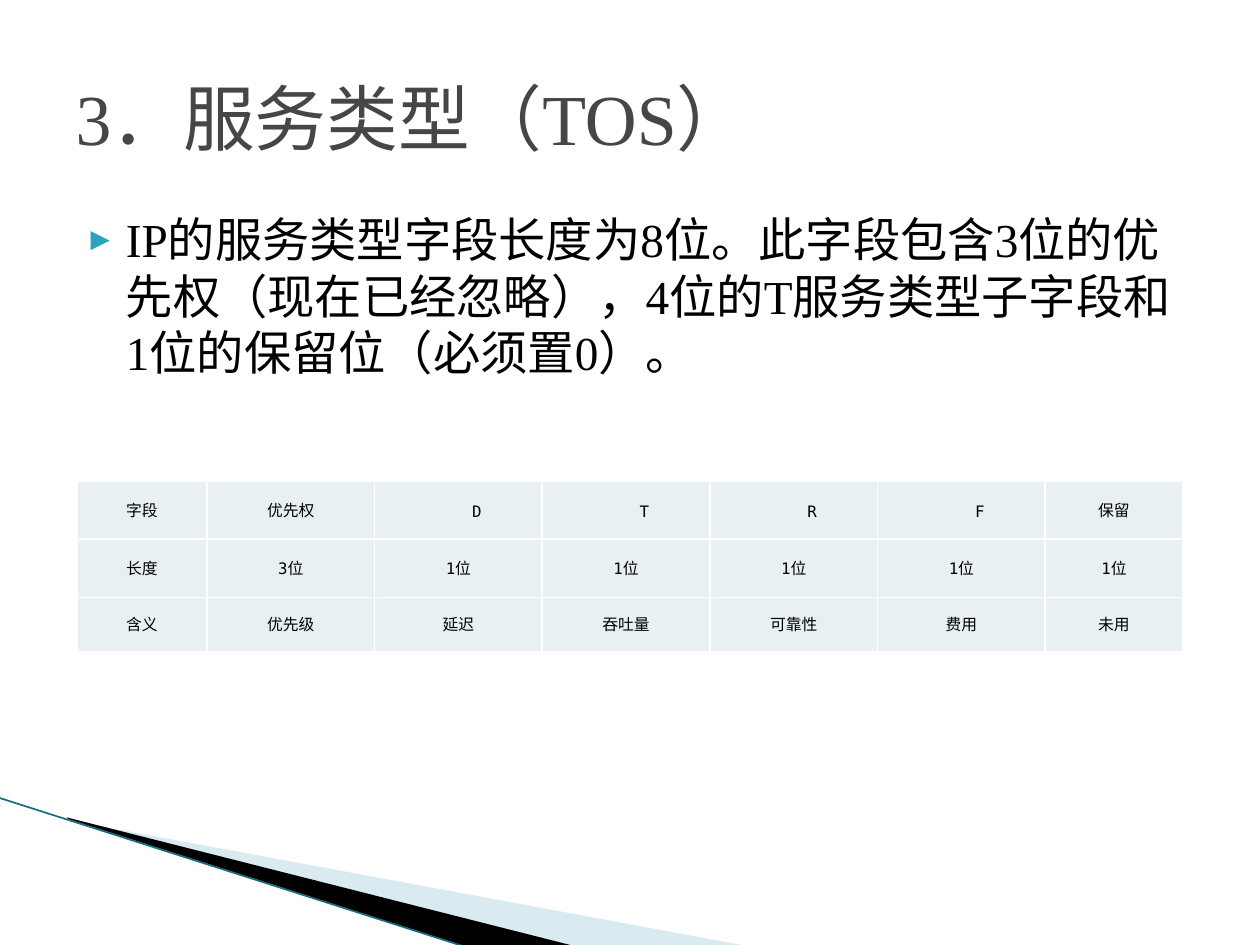
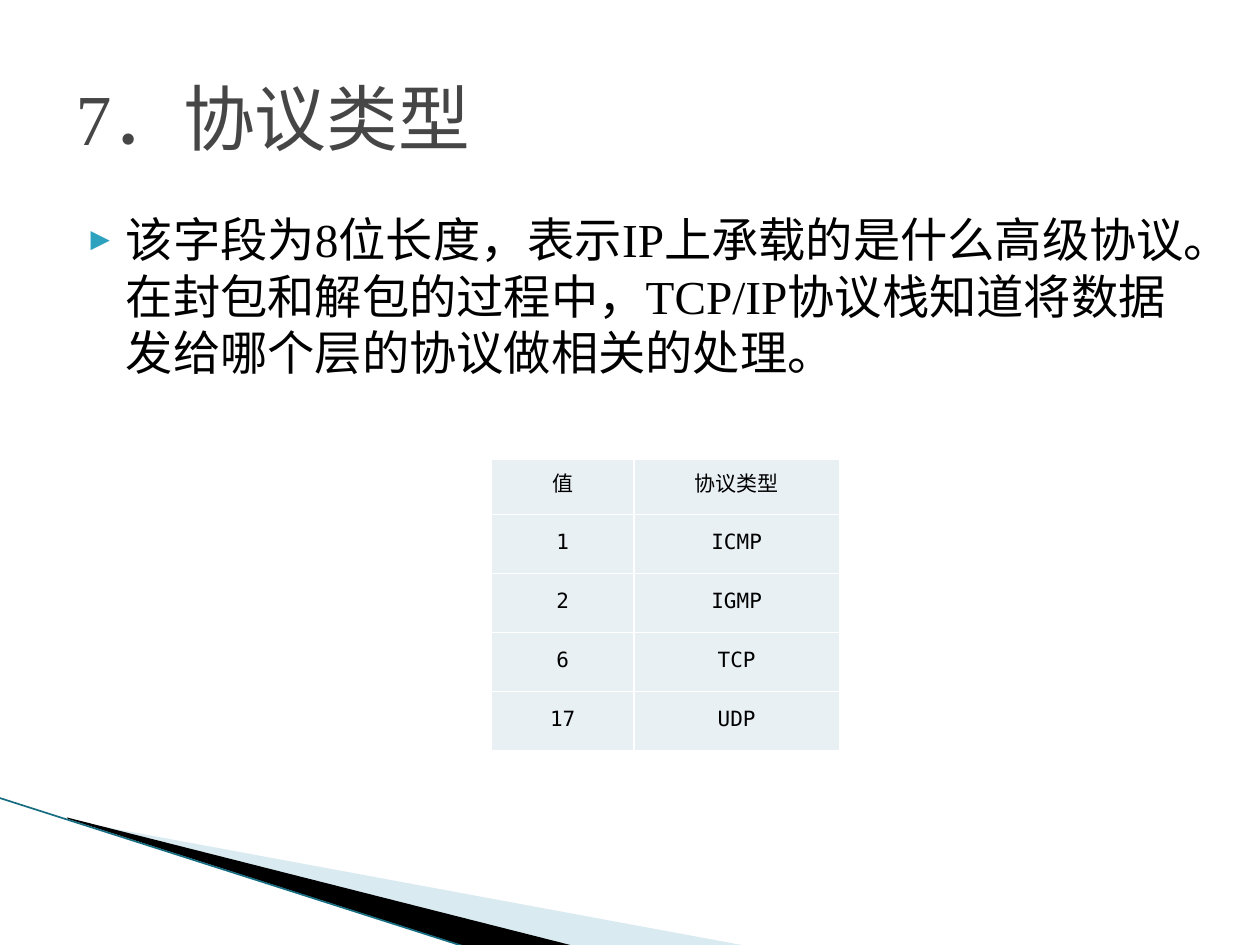
"""Build two slides on the IP header fields for service type and protocol."""
from dataclasses import dataclass
from typing import Any

from lxml.etree import SubElement
from pptx import Presentation
from pptx.dml.color import RGBColor
from pptx.enum.shapes import MSO_CONNECTOR as Connector
from pptx.enum.text import MSO_ANCHOR as Anchor, MSO_AUTO_SIZE as AutoSize, PP_ALIGN as Align
from pptx.oxml.ns import qn
from pptx.util import Cm, Pt

WHITE = RGBColor(0xFF, 0xFF, 0xFF)
BLACK = RGBColor(0x00, 0x00, 0x00)
TITLE_GREY = RGBColor(0x46, 0x46, 0x46)
BULLET_TEAL = RGBColor(0x2D, 0xA2, 0xBF)
EDGE_TEAL = RGBColor(0x16, 0x6C, 0x80)
WEDGE_BLUE = RGBColor(0xA0, 0xCB, 0xDC)
CELL_BLUE = RGBColor(0xE8, 0xF0, 0xF4)

SERIF = "Times New Roman"
MONO = "DejaVu Sans Mono"
TITLE_FONT = {"name": SERIF, "size": Pt(41), "color": TITLE_GREY}
BODY_FONT = {"name": SERIF, "size": Pt(27), "color": BLACK}
FRAME_FORMAT = {"word_wrap": True, "auto_size": AutoSize.NONE}
CELL_FORMAT = {
    "vertical_anchor": Anchor.MIDDLE,
    "margin_left": Cm(0.18),
    "margin_right": Cm(0.18),
    "margin_top": 0,
    "margin_bottom": 0,
}
CELL_PARAGRAPH = {"alignment": Align.CENTER, "line_spacing": Pt(12.5), "space_after": Pt(1)}
BIT_FLAGS = ("D", "T", "R", "F")


@dataclass(frozen=True)
class Wedge:
    """A filled corner outline, with points in centimetres and opacity in percent."""
    points: tuple[tuple[float, float], ...]
    color: RGBColor
    opacity: int = 100


@dataclass(frozen=True)
class FieldTable:
    """A table with its place and sizes in centimetres."""
    left: float
    top: float
    columns: tuple[float, ...]
    heights: tuple[float, ...]
    font_size: float
    rows: tuple[tuple[str, ...], ...]


@dataclass(frozen=True)
class FieldSlide:
    """The content of one header field slide."""
    title: str
    body: str
    table: FieldTable


WEDGES = (
    Wedge(((1.4, 16.54), (15.11, 19.08), (11.58, 19.08), (1.4, 16.51)), WEDGE_BLUE, 40),
    Wedge(((1.35, 16.48), (11.61, 19.08), (9.45, 19.1), (1.37, 16.51)), BLACK),
)

FIELD_SLIDES = (
    FieldSlide(
        "3．服务类型（TOS）",
        "IP的服务类型字段长度为8位。此字段包含3位的优先权（现在已经忽略），"
        "4位的T服务类型子字段和1位的保留位（必须置0）。",
        FieldTable(
            1.55, 9.7, (2.62, *[3.38] * 5, 2.77), (1.17, 1.17, 1.09), 9,
            (
                ("字段", "优先权", *BIT_FLAGS, "保留"),
                ("长度", "3位", *["1位"] * 5),
                ("含义", "优先级", "延迟", "吞吐量", "可靠性", "费用", "未用"),
            ),
        ),
    ),
    FieldSlide(
        "7．协议类型",
        "该字段为8位长度，表示IP上承载的是什么高级协议。在封包和解包的过程中，"
        "TCP/IP协议栈知道将数据发给哪个层的协议做相关的处理。",
        FieldTable(
            9.91, 9.25, (2.87, 4.14), (1.12, *[1.19] * 4), 12,
            (("值", "协议类型"), ("1", "ICMP"), ("2", "IGMP"), ("6", "TCP"), ("17", "UDP")),
        ),
    ),
)


def apply_format(target: Any, values: dict[str, Any]) -> None:
    """Set each format value on the target."""
    for name, value in values.items():
        setattr(target, name, value)


def write_text(paragraph: Any, text: str, font_values: dict[str, Any]) -> None:
    """Add one run of text in the given font."""
    run = paragraph.add_run()
    run.text = text
    for name, value in font_values.items():
        if name == "color":
            run.font.color.rgb = value
        else:
            setattr(run.font, name, value)


def draw_wedge(slide: Any, wedge: Wedge) -> None:
    """Draw one corner wedge."""
    start, *others = [(Cm(x), Cm(y)) for x, y in wedge.points]
    builder = slide.shapes.build_freeform(*start)
    builder.add_line_segments(others)
    shape = builder.convert_to_shape()
    shape.shadow.inherit = False
    shape.line.fill.background()
    shape.fill.solid()
    shape.fill.fore_color.rgb = wedge.color
    if wedge.opacity < 100:
        color = shape.fill._xPr.find(f".//{qn('a:srgbClr')}")
        SubElement(color, qn("a:alpha"), val=str(wedge.opacity * 1000))


def draw_corner(slide: Any) -> None:
    """Draw the shared corner decoration."""
    for wedge in WEDGES:
        draw_wedge(slide, wedge)
    edge = slide.shapes.add_connector(Connector.STRAIGHT, Cm(-0.03), Cm(16.08), Cm(9.42), Cm(19.1))
    edge.line.color.rgb = EDGE_TEAL
    edge.line.width = Pt(0.95)
    SubElement(edge._element.spPr, qn("a:effectLst"))


def write_title(slide: Any, text: str) -> None:
    """Place and write the title."""
    title = slide.shapes.title
    apply_format(title, {"left": Cm(1.27), "top": Cm(0.76), "width": Cm(22.86), "height": Cm(3.18)})
    apply_format(title.text_frame, {**FRAME_FORMAT, "vertical_anchor": Anchor.MIDDLE})
    paragraph = title.text_frame.paragraphs[0]
    paragraph.alignment = Align.LEFT
    write_text(paragraph, text, TITLE_FONT)


def write_body(slide: Any, text: str) -> None:
    """Write the bulleted body paragraph."""
    box = slide.shapes.add_textbox(Cm(1.27), Cm(4.11), Cm(22.86), Cm(12.57))
    apply_format(box.text_frame, FRAME_FORMAT)
    paragraph = box.text_frame.paragraphs[0]
    paragraph.space_before = Pt(4)
    write_text(paragraph, text, BODY_FONT)
    properties = paragraph._p.get_or_add_pPr()
    properties.set("marL", str(Cm(1.02)))
    properties.set("indent", str(Cm(-0.71)))
    bullet_color = SubElement(properties, qn("a:buClr"))
    SubElement(bullet_color, qn("a:srgbClr"), val=str(BULLET_TEAL))
    SubElement(properties, qn("a:buSzPct"), val="68000")
    SubElement(properties, qn("a:buFont"), typeface=MONO)
    SubElement(properties, qn("a:buChar"), char="▶")


def format_cell(cell: Any, text: str, font_size: float) -> None:
    """Write one cell with its borders and fill."""
    apply_format(cell, CELL_FORMAT)
    paragraph = cell.text_frame.paragraphs[0]
    apply_format(paragraph, CELL_PARAGRAPH)
    if text in BIT_FLAGS:
        paragraph._p.get_or_add_pPr().set("indent", str(Cm(0.74)))
    write_text(paragraph, text, {"name": MONO, "size": Pt(font_size), "color": BLACK})
    properties = cell._tc.get_or_add_tcPr()
    for side in ("lnL", "lnR", "lnT", "lnB"):
        border = SubElement(properties, qn(f"a:{side}"), w=str(Pt(1)))
        border_fill = SubElement(border, qn("a:solidFill"))
        SubElement(border_fill, qn("a:srgbClr"), val=str(WHITE))
    cell.fill.solid()
    cell.fill.fore_color.rgb = CELL_BLUE


def draw_table(slide: Any, content: FieldTable) -> None:
    """Draw one field table."""
    table = slide.shapes.add_table(
        len(content.rows), len(content.columns), Cm(content.left), Cm(content.top),
        Cm(sum(content.columns)), Cm(sum(content.heights)),
    ).table
    apply_format(table, {"first_row": False, "horz_banding": False})
    for column, width in zip(table.columns, content.columns):
        column.width = Cm(width)
    for row, height, texts in zip(table.rows, content.heights, content.rows):
        row.height = Cm(height)
        for cell, text in zip(row.cells, texts):
            format_cell(cell, text, content.font_size)


def main() -> None:
    """Build and save the presentation."""
    presentation = Presentation()
    apply_format(presentation, {"slide_width": Cm(25.4), "slide_height": Cm(19.05)})
    title_only = presentation.slide_layouts.get_by_name("Title Only")
    for content in FIELD_SLIDES:
        slide = presentation.slides.add_slide(title_only)
        draw_corner(slide)
        write_title(slide, content.title)
        write_body(slide, content.body)
        draw_table(slide, content.table)
    presentation.save("out.pptx")


if __name__ == "__main__":
    main()
